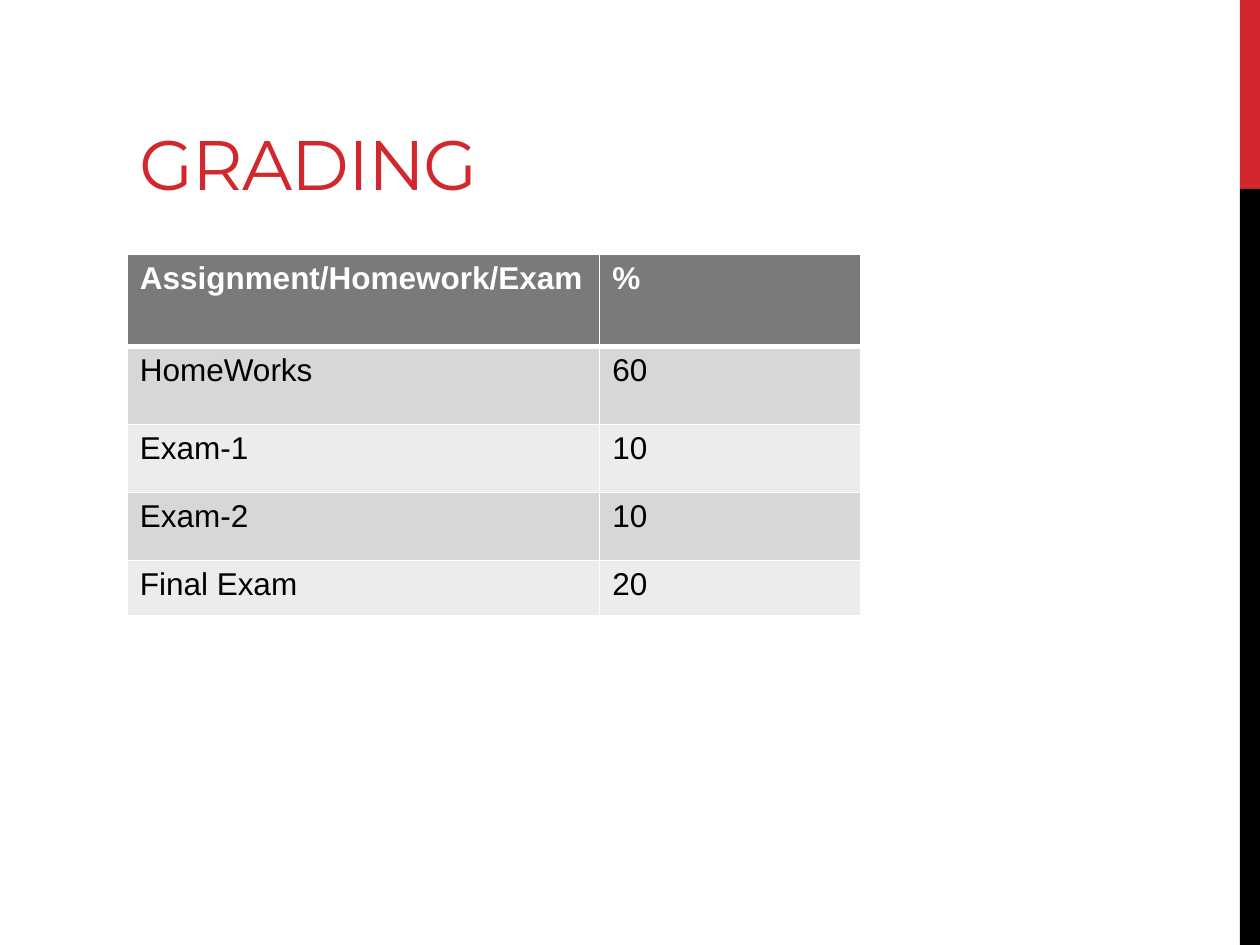
import pptx
import pptx.util
import pptx.dml.color
import pptx.enum.shapes
import pptx.enum.text
import pptx.oxml
import pptx.oxml.ns

Inches, Pt = pptx.util.Inches, pptx.util.Pt
RGB = pptx.dml.color.RGBColor

RED = RGB(0xD1, 0x28, 0x2E)
BLACK = RGB(0x00, 0x00, 0x00)
WHITE = RGB(0xFF, 0xFF, 0xFF)
HEAD = RGB(0x7A, 0x7A, 0x7A)
BANDS = [RGB(0xEC, 0xEC, 0xEC), RGB(0xD7, 0xD7, 0xD7)]

GRADES = [
    ("Assignment/Homework/Exam", "%"),
    ("HomeWorks", "60"),
    ("Exam-1", "10"),
    ("Exam-2", "10"),
    ("Final Exam", "20"),
]
COLS = [3.75, 2.07]
ROWS = [0.73, 0.62, 0.54, 0.54, 0.44]
WIDE, HIGH = 10, 7.5
LEFT = 1.01


def add_bar(slide, left, top, width, height):
    """Side bar: the top fifth is red, the rest black."""
    split = height / 5
    for color, start, size in ((RED, top, split),
                               (BLACK, top + split, height - split)):
        bar = slide.shapes.add_shape(
            pptx.enum.shapes.MSO_SHAPE.RECTANGLE,
            Inches(left), Inches(start), Inches(width), Inches(size))
        bar.shadow.inherit = False
        bar.fill.solid()
        bar.fill.fore_color.rgb = color
        bar.line.fill.background()


def add_title(slide, text, left, top, width, height):
    """Heading that sits on the bottom of its box."""
    box = slide.shapes.add_textbox(
        Inches(left), Inches(top), Inches(width), Inches(height))
    frame = box.text_frame
    frame.word_wrap = True
    frame.vertical_anchor = pptx.enum.text.MSO_ANCHOR.BOTTOM
    para = frame.paragraphs[0]
    run = para.add_run()
    run.text = text
    para.font.name = "Montserrat"
    para.font.size = Pt(40)
    para.font.color.rgb = RED
    # Tighter letters, in hundredths of a point
    run.font.size = Pt(40)
    run._r.get_or_add_rPr().set("spc", "-60")


def set_edges(cell, widths):
    """White cell borders; widths maps a side to points."""
    props = cell._tc.get_or_add_tcPr()
    for spot, side in enumerate("LRTB"):
        line = pptx.oxml.parse_xml(
            f'<a:ln{side} {pptx.oxml.ns.nsdecls("a")} w="{Pt(widths[side])}">'
            f'<a:solidFill><a:srgbClr val="{WHITE}"/></a:solidFill>'
            f'</a:ln{side}>')
        props.insert(spot, line)


def add_grades(slide, data, left, top, cols, rows):
    """Banded table with a dark header row."""
    table = slide.shapes.add_table(
        len(rows), len(cols), Inches(left), Inches(top),
        Inches(sum(cols)), Inches(sum(rows))).table
    for col, width in zip(table.columns, cols):
        col.width = Inches(width)
    for i, (row, height) in enumerate(zip(table.rows, rows)):
        row.height = Inches(height)
        for cell, text in zip(row.cells, data[i]):
            cell.text = text
            font = cell.text_frame.paragraphs[0].font
            font.name = "Arial"
            font.size = Pt(18)
            font.bold = i == 0
            font.color.rgb = BLACK if i else WHITE
            cell.fill.solid()
            cell.fill.fore_color.rgb = BANDS[i % 2] if i else HEAD
            # A thick rule parts the header from the body
            set_edges(cell, {"L": 1, "R": 1,
                             "T": 3 if i == 1 else 1,
                             "B": 3 if i == 0 else 1})


def main():
    deck = pptx.Presentation()
    deck.slide_width, deck.slide_height = Inches(WIDE), Inches(HIGH)
    slide = deck.slides.add_slide(deck.slide_layouts[6])
    add_bar(slide, WIDE - 0.16, 0, 0.16, HIGH)
    add_title(slide, "GRADING", LEFT, 0.17, sum(COLS), HIGH / 5)
    add_grades(slide, GRADES, LEFT, 2.02, COLS, ROWS)
    deck.save("out.pptx")


if __name__ == "__main__":
    main()
